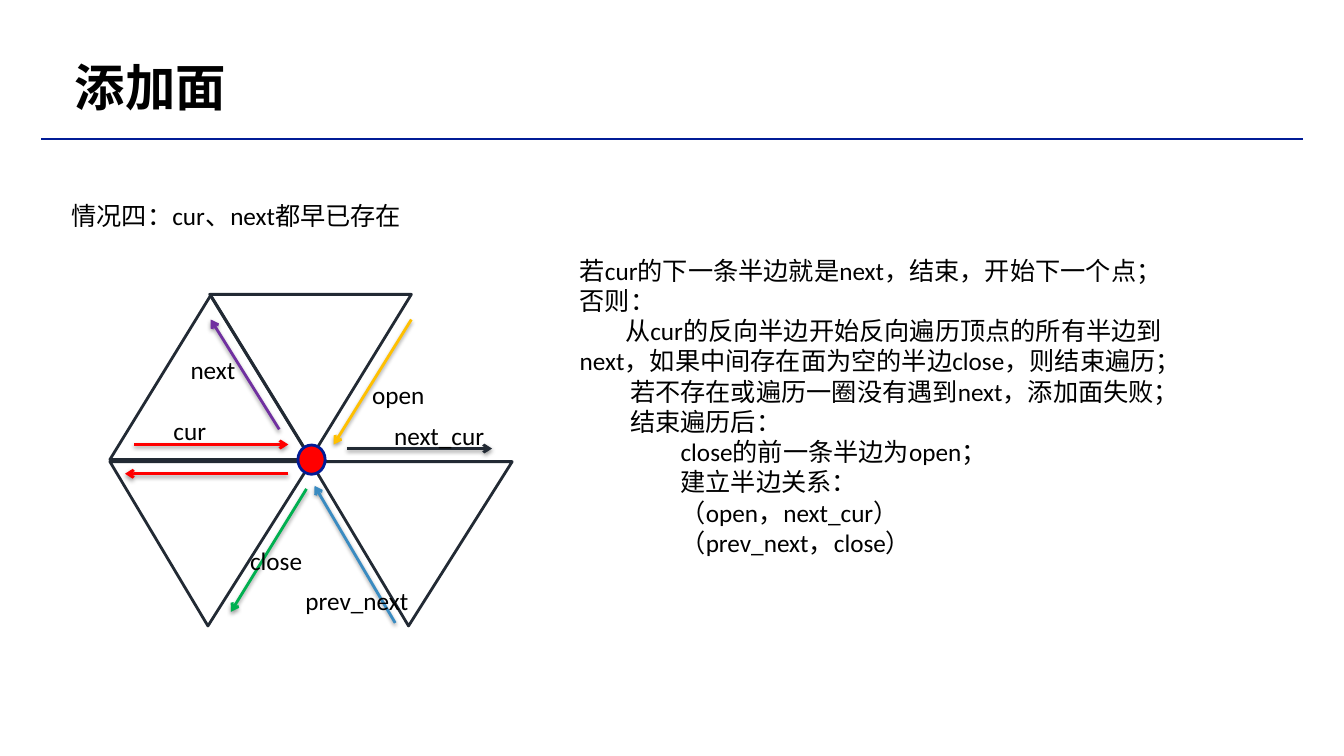
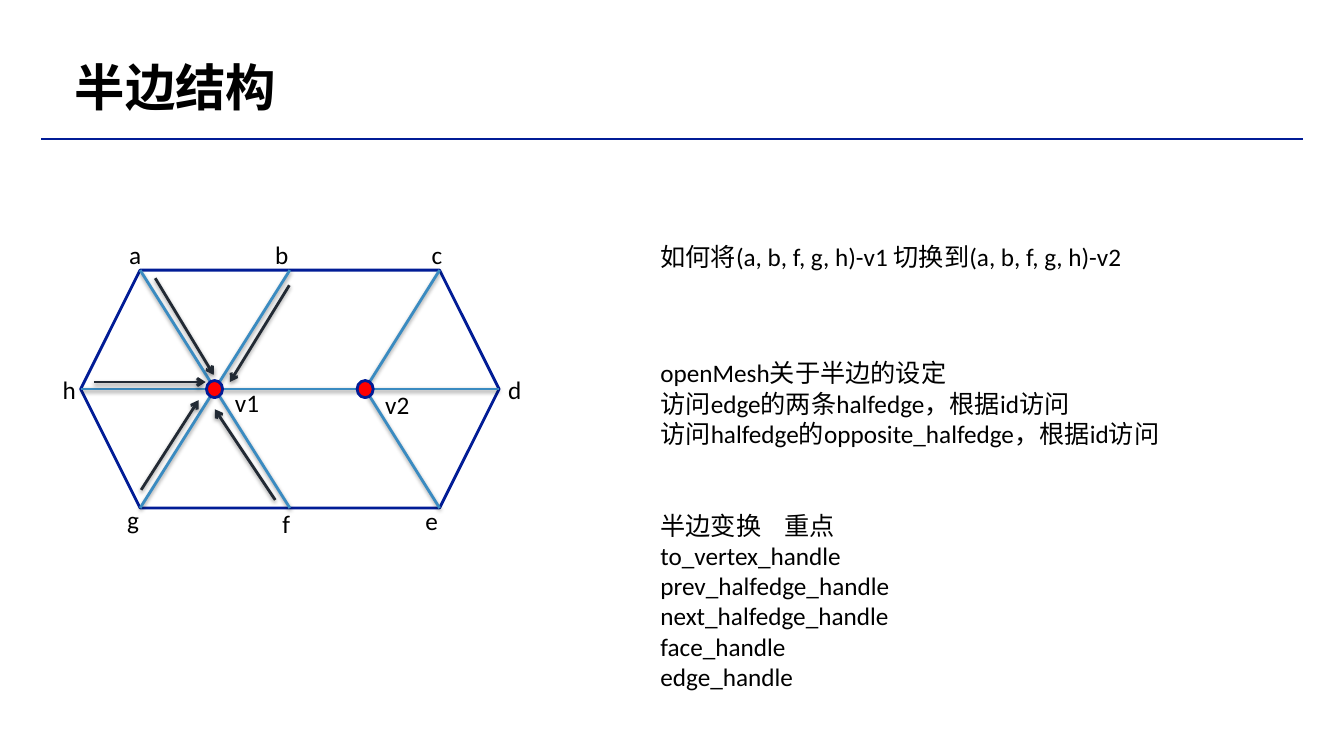
import dataclasses

import lxml.etree
import pptx
import pptx.dml.color
import pptx.enum.lang
import pptx.enum.shapes
import pptx.enum.text
import pptx.oxml.ns
import pptx.util

Inches = pptx.util.Inches
Kind = pptx.enum.shapes.MSO_SHAPE


@dataclasses.dataclass(frozen=True)
class Theme:
    """Colours, font and sizes for both slides."""
    font: str = "Calibri"
    head: int = 36
    body: int = 18
    line: float = 2
    rule: float = 1.5
    pad: float = 0.05
    row: float = 0.4
    black: str = "000000"
    navy: str = "011C96"
    dark: str = "222A34"
    blue: str = "3A8BC1"
    red: str = "FF0000"
    purple: str = "7030A0"
    green: str = "00B050"
    gold: str = "FFC000"


THEME = Theme()


def tint(code):
    """Return a colour from its hex code."""
    return pptx.dml.color.RGBColor.from_string(code)


def child(parent, tag, **attrs):
    """Add a drawing element to a parent."""
    return lxml.etree.SubElement(parent, pptx.oxml.ns.qn(tag), attrs)


def write(slide, x, y, w, h, rows, size=THEME.body, bold=False, space=None,
          tab=None):
    """Write rows of (text, first-line indent) in a box."""
    box = slide.shapes.add_textbox(Inches(x), Inches(y), Inches(w), Inches(h))
    frame = box.text_frame
    frame.word_wrap = True
    frame.vertical_anchor = pptx.enum.text.MSO_ANCHOR.TOP
    frame.margin_left = frame.margin_right = Inches(THEME.pad)
    frame.margin_top = frame.margin_bottom = Inches(THEME.pad)
    if isinstance(rows, str):
        rows = [(rows, 0)]
    for i, (words, dent) in enumerate(rows):
        para = frame.add_paragraph() if i else frame.paragraphs[0]
        if space:
            para.line_spacing = space
        props = para._p.get_or_add_pPr()
        if dent:
            props.set("indent", str(Inches(dent)))
        if tab and "\t" in words:
            stops = child(props, "a:tabLst")
            child(stops, "a:tab", pos=str(Inches(tab)), algn="l")
        run = para.add_run()
        run.text = words
        run.font.name = THEME.font
        run.font.size = pptx.util.Pt(size)
        run.font.bold = bold
        run.font.color.rgb = tint(THEME.black)
        run.font.language_id = pptx.enum.lang.MSO_LANGUAGE_ID.SIMPLIFIED_CHINESE


def form(slide, kind, x, y, w, h, line, fill=None):
    """Draw a preset shape, hollow unless filled."""
    shape = slide.shapes.add_shape(
        kind, Inches(x), Inches(y), Inches(w), Inches(h))
    shape.shadow.inherit = False
    if fill:
        shape.fill.solid()
        shape.fill.fore_color.rgb = tint(fill)
    else:
        shape.fill.background()
    shape.line.color.rgb = tint(line)
    shape.line.width = pptx.util.Pt(THEME.line)
    return shape


def link(slide, x, y, start, end, color, width=THEME.line, arrow=False,
         shade=True):
    """Join two points given from the corner x, y."""
    line = slide.shapes.add_connector(
        pptx.enum.shapes.MSO_CONNECTOR.STRAIGHT,
        Inches(x + start[0]), Inches(y + start[1]),
        Inches(x + end[0]), Inches(y + end[1]))
    line.line.color.rgb = tint(color)
    line.line.width = pptx.util.Pt(width)
    if arrow:
        child(line.line._get_or_add_ln(), "a:tailEnd", type="arrow")
    glow = child(line._element.spPr, "a:effectLst")
    if shade:
        drop = child(glow, "a:outerShdw", blurRad=str(pptx.util.Pt(3)),
                     dist=str(pptx.util.Pt(1.6)), dir="5400000",
                     rotWithShape="0")
        child(child(drop, "a:srgbClr", val=THEME.black), "a:alpha", val="38000")


def dot(slide, x, y, w, h):
    """Draw a vertex centred on x, y."""
    form(slide, Kind.OVAL, x - w / 2, y - h / 2, w, h, THEME.navy, THEME.red)


def start(deck, title):
    """Add a slide with its title and rule."""
    slide = deck.slides.add_slide(deck.slide_layouts[6])
    link(slide, 0.41, 1.38, (0, 0), (12.51, 0), THEME.navy, THEME.rule,
         shade=False)
    write(slide, 0.69, 0.58, 7.63, 0.66, title, size=THEME.head, bold=True,
          space=0.9)
    return slide


def fan(slide, x, y):
    """Draw four faces around one vertex with their half-edges."""
    faces = [(1.99, 1.66, 180, 0.514), (0.99, 0, 180, 0.5),
             (0, 0.01, 0, 0.5), (0, 1.66, 180, 0.514)]
    for dx, dy, turn, peak in faces:
        face = form(slide, Kind.ISOSCELES_TRIANGLE, x + dx, y + dy, 2, 1.63,
                    THEME.dark)
        face.rotation = turn
        face.adjustments[0] = peak
    dot(slide, x + 2, y + 1.64, 0.27, 0.29)
    edges = [((0.24, 1.49), (1.77, 1.49), THEME.red),
             ((1.77, 1.78), (0.15, 1.78), THEME.red),
             ((1.68, 1.34), (1, 0.25), THEME.purple),
             ((1.95, 1.93), (1.2, 3.15), THEME.green),
             ((2.99, 0.25), (2.22, 1.49), THEME.gold),
             ((2.35, 1.53), (3.79, 1.53), THEME.dark),
             ((2.83, 3.26), (2.03, 1.9), THEME.blue)]
    for tail, head, color in edges:
        link(slide, x, y, tail, head, color, arrow=True)
    names = [("cur", 0.58, 1.15, 0.53), ("next", 0.75, 0.55, 0.64),
             ("open", 2.55, 0.79, 0.73), ("close", 1.34, 2.44, 0.78),
             ("next_cur", 2.77, 1.2, 1.04), ("prev_next", 1.89, 2.84, 1.24)]
    for name, dx, dy, w in names:
        write(slide, x + dx, y + dy, w, THEME.row, name)


def mesh(slide, x, y, w, h):
    """Draw a hexagon of faces around two vertices."""
    form(slide, Kind.HEXAGON, x, y, w, h, THEME.navy)
    cut, mid = h / 4, h / 2
    node = {"a": (cut, 0), "b": (w / 2, 0), "c": (w - cut, 0),
            "d": (w, mid), "e": (w - cut, h), "f": (w / 2, h),
            "g": (cut, h), "h": (0, mid),
            "v1": (w * 0.32, mid), "v2": (w * 0.68, mid)}
    pairs = [("a", "f"), ("b", "g"), ("h", "v1"), ("v1", "v2"),
             ("v2", "d"), ("v2", "e"), ("c", "v2")]
    for tail, head in pairs:
        link(slide, x, y, node[tail], node[head], THEME.blue)
    edges = [((2.07, 0.15), (1.48, 1.11)), ((0.74, 0.08), (1.32, 1.04)),
             ((0.13, 1.11), (1.24, 1.11)), ((0.6, 2.18), (1.17, 1.29)),
             ((1.93, 2.28), (1.33, 1.38))]
    for tail, head in edges:
        link(slide, x, y, tail, head, THEME.dark, arrow=True)
    for name in ("v1", "v2"):
        dot(slide, x + node[name][0], y + mid, 0.16, 0.17)
    names = [("a", 0.43, -0.35), ("b", 1.88, -0.35), ("c", 3.43, -0.35),
             ("h", -0.23, 0.98), ("d", 4.19, 0.98), ("g", 0.41, 2.27),
             ("f", 1.95, 2.31), ("e", 3.37, 2.28),
             ("v1", 1.48, 1.11), ("v2", 2.97, 1.13)]
    for name, dx, dy in names:
        write(slide, x + dx, y + dy, 0.31 if len(name) == 1 else 0.52,
              THEME.row, name)


def notes(slide, x, y):
    """Write the three blocks on half-edge handles."""
    write(slide, x, y, 5.31, THEME.row,
          "如何将(a, b, f, g, h)-v1 切换到(a, b, f, g, h)-v2")
    write(slide, x, y + 1.16, 5.2, 1.01, [
        ("openMesh关于半边的设定", 0),
        ("访问edge的两条halfedge，根据id访问", 0),
        ("访问halfedge的opposite_halfedge，根据id访问", 0)])
    write(slide, x, y + 2.67, 2.99, 1.92, [
        ("半边变换\t重点", 0), ("to_vertex_handle", 0),
        ("prev_halfedge_handle", 0), ("next_halfedge_handle", 0),
        ("face_handle", 0), ("edge_handle", 0)], tab=1.23)


def steps(slide, x, y):
    """Write the steps for adding a face."""
    write(slide, x, y, 6.19, 3.13, [
        ("若cur的下一条半边就是next，结束，开始下一个点；", 0),
        ("否则：", 0),
        ("从cur的反向半边开始反向遍历顶点的所有半边到next，"
         "如果中间存在面为空的半边close，则结束遍历；", 0.45),
        ("若不存在或遍历一圈没有遇到next，添加面失败；", 0.5),
        ("结束遍历后：", 0.5),
        ("close的前一条半边为open；", 1),
        ("建立半边关系：", 1),
        ("（open，next_cur）", 1),
        ("（prev_next，close）", 1)])


def main():
    """Build and save the deck."""
    deck = pptx.Presentation()
    deck.slide_width, deck.slide_height = Inches(13.33), Inches(7.5)
    slide = start(deck, "添加面")
    write(slide, 0.66, 1.94, 3.83, THEME.row, "情况四：cur、next都早已存在")
    fan(slide, 1.09, 2.92)
    steps(slide, 5.7, 2.48)
    slide = start(deck, "半边结构")
    mesh(slide, 0.8, 2.68, 4.15, 2.36)
    notes(slide, 6.5, 2.34)
    deck.save("out.pptx")


if __name__ == "__main__":
    main()
